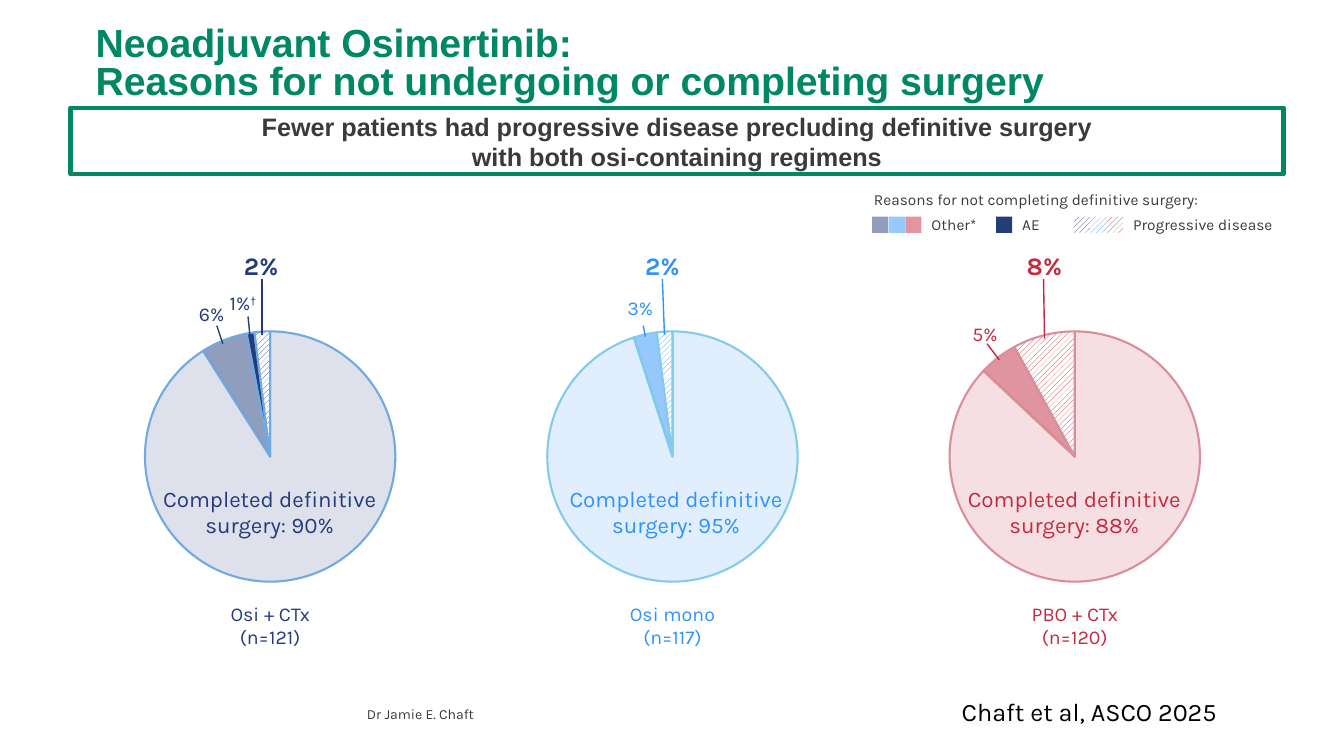
import lxml.etree
import pptx
import pptx.chart.data
import pptx.dml.color
import pptx.enum.chart
import pptx.enum.dml
import pptx.enum.shapes
import pptx.enum.text
import pptx.oxml
import pptx.oxml.ns
import pptx.util

Inches = pptx.util.Inches
Pt = pptx.util.Pt
qn = pptx.oxml.ns.qn
Align = pptx.enum.text.PP_ALIGN
Anchor = pptx.enum.text.MSO_ANCHOR

COLOURS = {
    "green": "008764", "grey": "3A3A3A", "black": "000000", "white": "FFFFFF",
    "navy": "253C7A", "blue": "2F93FB", "red": "C32B42", "slate": "586997",
    "navy half": "929DBC", "blue half": "97C9FD", "red half": "E195A0",
    "navy edge": "71AAE0", "blue edge": "83CBEB", "red edge": "DA8E99",
}
TITLE = "Neoadjuvant Osimertinib:\nReasons for not undergoing or completing surgery"
BANNER = ("Fewer patients had progressive disease precluding definitive surgery\n"
          "with both osi-containing regimens")
CATEGORIES = ("1", "2", "3", "4")
ARMS = [
    {"name": "Osi + CTx\n(n=121)", "colour": "navy", "ae": "navy",
     "values": (91, 6, 1, 2), "completed": "90%", "completed_at": (1.51, 2.33),
     "labels": [("6%", 2.1, 2.95, 14), ("1%†", 2.41, 2.84, 14), ("2%", 2.59, 2.43, 18)],
     "leaders": [(2.21, 3.41, 2.15, 3.23), (2.48, 3.34, 2.46, 3.14), (2.6, 3.32, 2.6, 2.77)]},
    {"name": "Osi mono\n(n=117)", "colour": "blue", "ae": "slate",
     "values": (95, 3, 0, 2), "completed": "95%", "completed_at": (5.48, 2.45),
     "labels": [("3%", 6.35, 2.89, 14), ("2%", 6.57, 2.43, 18)],
     "leaders": [(6.4, 3.34, 6.38, 3.23), (6.59, 3.32, 6.57, 2.77)]},
    {"name": "PBO + CTx\n(n=120)", "colour": "red", "ae": "slate",
     "values": (87, 5, 0, 8), "completed": "88%", "completed_at": (9.35, 2.61),
     "labels": [("5%", 9.77, 3.14, 14), ("8%", 10.36, 2.43, 18)],
     "leaders": [(9.91, 3.57, 9.79, 3.41), (10.36, 3.36, 10.35, 2.77)]},
]
LEGEND_TEXTS = [
    ("Reasons for not completing definitive surgery:", 8.57, 1.84, 3.57),
    ("Other*", 9.14, 2.08, 0.72),
    ("AE", 10.04, 2.08, 0.41),
    ("Progressive disease", 11.14, 2.08, 1.59),
]
LEGEND_SWATCHES = [
    (8.65, ("navy half", "blue half", "red half"), False),
    (9.88, ("navy",), False),
    (10.65, ("navy", "blue", "red"), True),
]
FIRST_CENTRE, ARM_STEP = 2.68, 3.99
PIE_WIDTH, PIE_HEIGHT = 4.14, 2.76
PIE_LAYOUT = {"x": 0.2, "y": 0.05, "w": 0.6, "h": 0.9}
SWATCH, SWATCH_STEP = 0.16, 0.165


def rgb(name):
    return pptx.dml.color.RGBColor.from_string(COLOURS[name])


def apply(target, values):
    for key, value in values.items():
        setattr(target, key, value)


def write(box, text, size, colour, font="Karla", bold=False, para_format=None, frame_format=None):
    frame = box.text_frame
    apply(frame, {"word_wrap": True, **(frame_format or {})})
    for index, line in enumerate(text.split("\n")):
        para = frame.add_paragraph() if index else frame.paragraphs[0]
        apply(para, para_format or {})
        for part in filter(None, line.partition("†")):
            span = para.add_run()
            span.text = part
            apply(span.font, {"name": font, "size": Pt(size), "bold": bold})
            span.font.color.rgb = rgb(colour)
            if part == "†":
                span.font._element.set("baseline", "30000")


def add_text(page, place, *args, **formats):
    write(page.shapes.add_textbox(*map(Inches, place)), *args, **formats)


def paint(fill, colour, hatched=False):
    if hatched:
        fill.patterned()
        fill.pattern = pptx.enum.dml.MSO_PATTERN.WIDE_UPWARD_DIAGONAL
        fill.back_color.rgb = rgb("white")
    else:
        fill.solid()
    fill.fore_color.rgb = rgb(colour)


def add_rectangle(page, place):
    shape = page.shapes.add_shape(pptx.enum.shapes.MSO_SHAPE.RECTANGLE, *map(Inches, place))
    shape.shadow.inherit = False
    return shape


def add_pie(page, arm, centre):
    data = pptx.chart.data.CategoryChartData()
    data.categories = CATEGORIES
    data.add_series("Series 1", arm["values"])
    place = (centre - PIE_WIDTH / 2, 3.15, PIE_WIDTH, PIE_HEIGHT)
    chart = page.shapes.add_chart(pptx.enum.chart.XL_CHART_TYPE.PIE, *map(Inches, place), data).chart
    apply(chart, {"has_title": False, "has_legend": False})
    apply(chart.font, {"name": "Karla", "size": Pt(10)})
    chart.font.color.rgb = rgb("black")
    plot = chart.plots[0]
    plot.vary_by_categories = False
    series = plot.series[0]
    wedges = [(arm["colour"], 15), (arm["colour"], 50), (arm["ae"], 100), (arm["colour"], 100)]
    for index, (colour, opacity) in enumerate(wedges):
        look = series.points[index].format
        paint(look.fill, colour, hatched=index == 3)
        look.line.color.rgb = rgb(arm["colour"] + " edge")
        look.line.width = Pt(1.5)
        if opacity < 100:
            point = series._element.findall(qn("c:dPt"))[index]
            solid = point.find(qn("c:spPr")).find(qn("a:solidFill"))
            lxml.etree.SubElement(solid[0], qn("a:alpha"), val=str(opacity * 1000))
    area = chart._chartSpace.find(qn("c:chart")).find(qn("c:plotArea"))
    for old in area.findall(qn("c:layout")):
        area.remove(old)
    layout = lxml.etree.Element(qn("c:layout"))
    manual = lxml.etree.SubElement(layout, qn("c:manualLayout"))
    settings = {"layoutTarget": "inner", "xMode": "edge", "yMode": "edge", **PIE_LAYOUT}
    for key, value in settings.items():
        lxml.etree.SubElement(manual, qn("c:" + key), val=str(value))
    area.insert(0, layout)


def add_leader(page, ends, colour):
    line = page.shapes.add_connector(pptx.enum.shapes.MSO_CONNECTOR.STRAIGHT, *map(Inches, ends))
    line.line.color.rgb = rgb(colour)
    line.line.width = Pt(1)
    lxml.etree.SubElement(line._element.spPr, qn("a:effectLst"))


def add_legend(page):
    for text, left, top, width in LEGEND_TEXTS:
        add_text(page, (left, top, width, 0.29), text, 11, "grey")
    for left, colours, hatched in LEGEND_SWATCHES:
        for index, colour in enumerate(colours):
            swatch = add_rectangle(page, (left + index * SWATCH_STEP, 2.15, SWATCH, SWATCH))
            paint(swatch.fill, colour, hatched)
            swatch.line.fill.background()


def add_arm(page, arm, centre):
    centred = {"alignment": Align.CENTER}
    colour = arm["colour"]
    add_text(page, (centre - 0.69, 5.92, 1.38, 0.57), arm["name"], 14, colour, para_format=centred)
    add_pie(page, arm, centre)
    for ends in arm["leaders"]:
        add_leader(page, ends, colour)
    for text, middle, top, size in arm["labels"]:
        add_text(page, (middle - 0.33, top, 0.66, 0.34), text, size, colour,
                 bold=size == 18, para_format=centred)
    left, width = arm["completed_at"]
    add_text(page, (left, 4.76, width, 0.64), "Completed definitive surgery: " + arm["completed"],
             16, colour, para_format=centred)


def main():
    deck = pptx.Presentation()
    apply(deck, {"slide_width": Inches(13.33), "slide_height": Inches(7.5)})
    page = deck.slides.add_slide(deck.slide_layouts[6])
    add_text(page, (0.85, 0.19, 12, 0.91), TITLE, 28, "green", font="Arial", bold=True,
             para_format={"line_spacing": 0.8}, frame_format={"vertical_anchor": Anchor.MIDDLE})
    banner = add_rectangle(page, (0.7, 1.07, 12.03, 0.66))
    banner.fill.background()
    banner.line.color.rgb = rgb("green")
    banner.line.width = Pt(3)
    write(banner, BANNER, 18, "grey", font="Arial", bold=True,
          para_format={"alignment": Align.CENTER}, frame_format={"vertical_anchor": Anchor.MIDDLE})
    add_legend(page)
    for index, arm in enumerate(ARMS):
        add_arm(page, arm, FIRST_CENTRE + index * ARM_STEP)
    no_margins = dict.fromkeys(("margin_left", "margin_top", "margin_right", "margin_bottom"), 0)
    add_text(page, (3.64, 6.86, 6.4, 0.31), "Dr Jamie E. Chaft", 10, "grey",
             para_format={"line_spacing": 0.9},
             frame_format={"vertical_anchor": Anchor.BOTTOM, **no_margins})
    add_text(page, (9.44, 6.86, 3.29, 0.4), "Chaft et al, ASCO 2025", 18, "black")
    deck.save("out.pptx")


if __name__ == "__main__":
    main()
